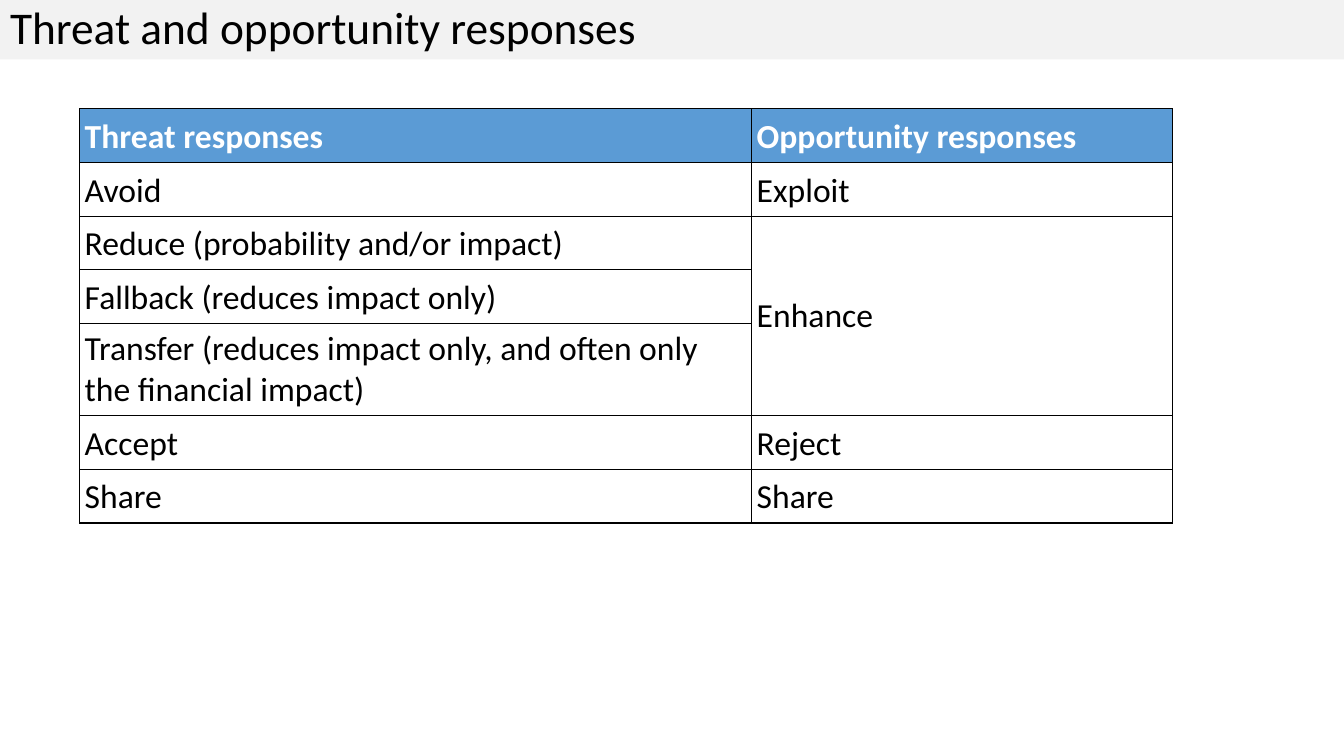
"""Build the slide on threat and opportunity responses."""
import dataclasses

import lxml.etree
import pptx
import pptx.dml.color
import pptx.enum.text
import pptx.oxml.ns
import pptx.util

ANCHOR = pptx.enum.text.MSO_ANCHOR
RESPONSES = [
    ("Threat responses", "Opportunity responses"),
    ("Avoid", "Exploit"),
    ("Reduce (probability and/or impact)", "Enhance"),
    ("Fallback (reduces impact only)", ""),
    ("Transfer (reduces impact only, and often only the financial impact)", ""),
    ("Accept", "Reject"),
    ("Share", "Share"),
]
ENHANCE_ROWS = (2, 4)


@dataclasses.dataclass(frozen=True)
class Theme:
    """Colours, type sizes and measures of the slide."""
    font: str = "Calibri"
    title_size: float = 32.4
    cell_size: float = 24
    border_width: float = 1
    cell_margin: float = 0.05
    band: str = "F2F2F2"
    header: str = "5B9BD5"
    paper: str = "FFFFFF"
    ink: str = "000000"


class Deck:
    """Draw styled elements on the current slide, on a 100 by 100 grid."""

    def __init__(self, prs, theme):
        """Add a title-only slide to the presentation."""
        self.theme = theme
        self.col = prs.slide_width / 100
        self.row = prs.slide_height / 100
        self.slide = prs.slides.add_slide(prs.slide_layouts[5])

    def cols(self, n):
        """Return the length of n grid columns."""
        return pptx.util.Emu(round(n * self.col))

    def rows(self, n):
        """Return the length of n grid rows."""
        return pptx.util.Emu(round(n * self.row))

    def fill(self, target, colour):
        """Give a shape or cell a solid fill."""
        target.fill.solid()
        target.fill.fore_color.rgb = pptx.dml.color.RGBColor.from_string(colour)

    def run(self, p, text, size, colour, bold=False):
        """Add one styled run to a paragraph."""
        r = p.add_run()
        r.text = text
        r.font.name = self.theme.font
        r.font.size = pptx.util.Pt(size)
        r.font.bold = bold
        r.font.color.rgb = pptx.dml.color.RGBColor.from_string(colour)

    def title(self, text, height):
        """Set the title as a band across the top."""
        sp = self.slide.shapes.title
        sp.left, sp.top = self.cols(0), self.rows(0)
        sp.width, sp.height = self.cols(100), self.rows(height)
        self.fill(sp, self.theme.band)
        tf = sp.text_frame
        tf.auto_size = pptx.enum.text.MSO_AUTO_SIZE.NONE
        tf.word_wrap = True
        tf.vertical_anchor = ANCHOR.MIDDLE
        p = tf.paragraphs[0]
        p.alignment = pptx.enum.text.PP_ALIGN.LEFT
        p.line_spacing = 0.9
        self.run(p, text, self.theme.title_size, self.theme.ink)

    def borders(self, cell):
        """Draw the four edges of a cell."""
        qn = pptx.oxml.ns.qn
        tc_pr = cell._tc.get_or_add_tcPr()
        width = str(pptx.util.Pt(self.theme.border_width))
        for edge in ("a:lnL", "a:lnR", "a:lnT", "a:lnB"):
            ln = lxml.etree.SubElement(tc_pr, qn(edge), w=width)
            solid = lxml.etree.SubElement(ln, qn("a:solidFill"))
            lxml.etree.SubElement(solid, qn("a:srgbClr"), val=self.theme.ink)

    def cell(self, cell, text, header):
        """Style a table cell and write its text."""
        theme = self.theme
        self.borders(cell)
        self.fill(cell, theme.header if header else theme.paper)
        margin = pptx.util.Inches(theme.cell_margin)
        cell.margin_left = cell.margin_right = margin
        cell.margin_top = cell.margin_bottom = margin
        cell.vertical_anchor = ANCHOR.BOTTOM
        if text:
            colour = theme.paper if header else theme.ink
            p = cell.text_frame.paragraphs[0]
            self.run(p, text, theme.cell_size, colour, header)

    def table(self, data, left, top, widths, heights):
        """Add a table with a header row and return it."""
        table = self.slide.shapes.add_table(
            len(data), len(widths), self.cols(left), self.rows(top),
            self.cols(sum(widths)), self.rows(sum(heights))).table
        for column, width in zip(table.columns, widths):
            column.width = self.cols(width)
        for i, (texts, height) in enumerate(zip(data, heights)):
            table.rows[i].height = self.rows(height)
            for j, text in enumerate(texts):
                self.cell(table.cell(i, j), text, i == 0)
        return table


def main():
    """Build and save the presentation."""
    prs = pptx.Presentation()
    prs.slide_width = pptx.util.Inches(13.33)
    prs.slide_height = pptx.util.Inches(7.5)
    deck = Deck(prs, Theme())
    deck.title("Threat and opportunity responses", 7.87)
    heights = [12.2 if len(threat) > 40 else 7.1 for threat, _ in RESPONSES]
    table = deck.table(RESPONSES, 5.93, 14.4, (50, 31.3), heights)
    first, last = ENHANCE_ROWS
    enhance = table.cell(first, 1)
    enhance.merge(table.cell(last, 1))
    enhance.vertical_anchor = ANCHOR.MIDDLE
    prs.save("out.pptx")


if __name__ == "__main__":
    main()
